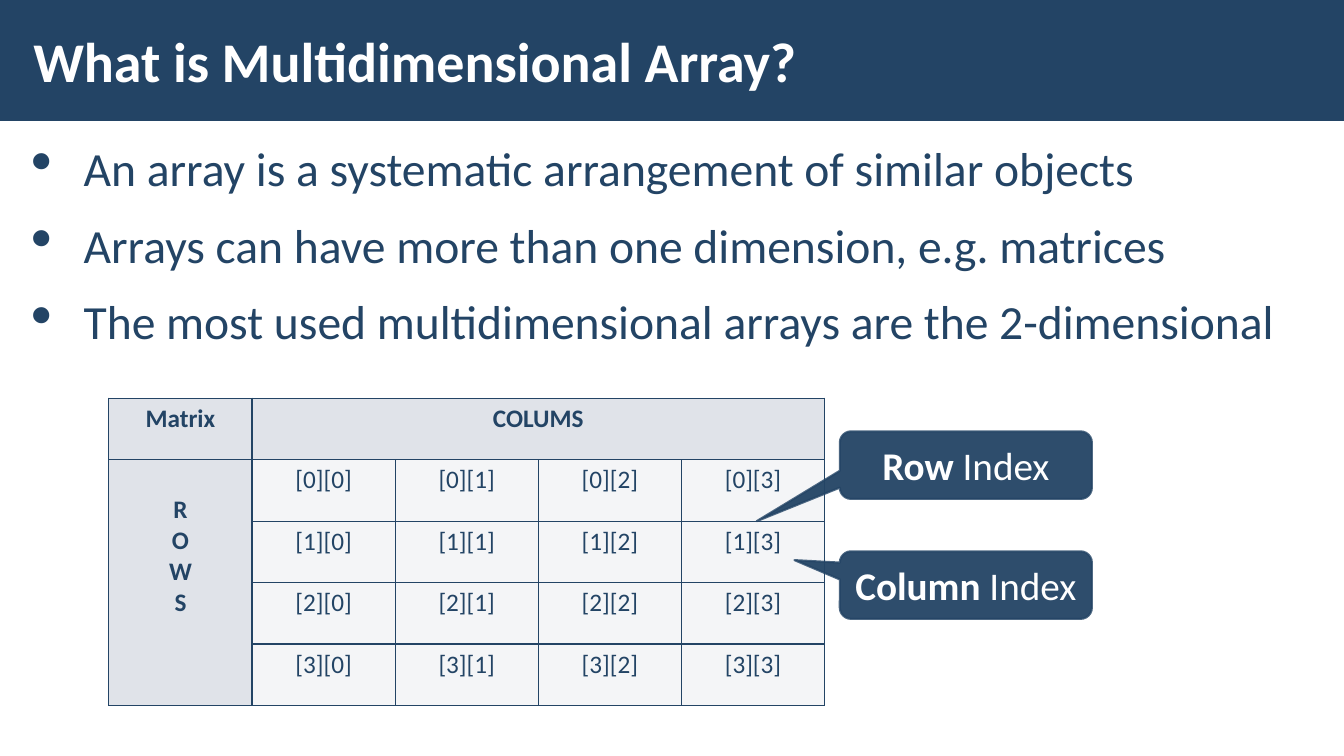
from dataclasses import dataclass

from lxml import etree
from pptx import Presentation
from pptx.dml.color import RGBColor
from pptx.enum.shapes import MSO_SHAPE
from pptx.enum.text import MSO_ANCHOR, MSO_AUTO_SIZE, PP_ALIGN
from pptx.oxml.ns import qn
from pptx.util import Inches, Pt

RECTANGLE = MSO_SHAPE.RECTANGLE
CALLOUT = MSO_SHAPE.ROUNDED_RECTANGULAR_CALLOUT
MIDDLE, TOP = MSO_ANCHOR.MIDDLE, MSO_ANCHOR.TOP
LEFT, CENTER = PP_ALIGN.LEFT, PP_ALIGN.CENTER
NO_AUTOFIT = MSO_AUTO_SIZE.NONE

FONT = "Calibri"
NAVY, WHITE = "234465", "FFFFFF"
HEADER_FILL, CELL_FILL = "E0E3E9", "F4F5F7"

MATRIX_SIZE = 4
CELL_WIDTH, CELL_HEIGHT = 1.42, 0.61
ROWS_TOP_MARGIN = 0.35

POINTS = [
    "An array is a systematic arrangement of similar objects",
    "Arrays can have more than one dimension, e.g. matrices",
    "The most used multidimensional arrays are the 2-dimensional",
]


@dataclass
class IndexCallout:
    subject: str
    top: float
    tip_x: float
    tip_y: float


CALLOUTS = [
    IndexCallout("Row ", 4.28, -0.83, 0.83),
    IndexCallout("Column ", 5.47, -0.68, -0.37),
]


def rgb(hex_color: str) -> RGBColor:
    return RGBColor.from_string(hex_color)


def add_run(paragraph, text: str, size: float, color: str, bold: bool = False) -> None:
    run = paragraph.add_run()
    run.text = text
    run.font.name = FONT
    run.font.size = Pt(size)
    run.font.bold = bold
    run.font.color.rgb = rgb(color)


def set_alpha(color_format, percent: int) -> None:
    """Set the opacity of a solid fill whose colour is already chosen."""
    for color in color_format.iter(qn("a:srgbClr")):
        etree.SubElement(color, qn("a:alpha"), val=str(percent * 1000))


def set_frame(frame, anchor) -> None:
    frame.word_wrap = True
    frame.auto_size = NO_AUTOFIT
    frame.vertical_anchor = anchor
    frame.margin_left = frame.margin_right = Inches(0.12)
    frame.margin_top = frame.margin_bottom = Inches(0.04)


def add_bullet(paragraph, symbol: str) -> None:
    properties = paragraph._p.get_or_add_pPr()
    properties.set("marL", str(Inches(0.5)))
    properties.set("indent", str(-Inches(0.5)))
    etree.SubElement(properties, qn("a:buFont"), typeface="Wingdings 2")
    etree.SubElement(properties, qn("a:buChar"), char=symbol)


def add_title(slide) -> None:
    band = slide.shapes.add_shape(RECTANGLE, 0, 0, Inches(13.33), Inches(1.2))
    band.shadow.inherit = False
    band.fill.solid()
    band.fill.fore_color.rgb = rgb(NAVY)
    band.line.fill.background()
    slide.shapes._spTree.insert(2, band._element)

    title = slide.shapes.title
    title.left, title.top = Inches(0.21), Inches(0.11)
    title.width, title.height = Inches(10.4), Inches(0.97)
    set_frame(title.text_frame, MIDDLE)
    heading = title.text_frame.paragraphs[0]
    heading.alignment = LEFT
    add_run(heading, "What is Multidimensional Array?", 40, WHITE, True)


def add_points(slide) -> None:
    body = slide.shapes.add_textbox(Inches(0.21), Inches(1.31), Inches(12.92), Inches(2.5))
    frame = body.text_frame
    set_frame(frame, TOP)
    for number, text in enumerate(POINTS):
        point = frame.add_paragraph() if number else frame.paragraphs[0]
        point.line_spacing = 1.05
        point.space_before = point.space_after = Pt(6)
        add_bullet(point, "▪")
        add_run(point, text, 34, NAVY)


def format_cell(cell, fill: str) -> None:
    cell.fill.solid()
    cell.fill.fore_color.rgb = rgb(fill)
    properties = cell._tc.get_or_add_tcPr()
    for position, side in enumerate(("lnL", "lnR", "lnT", "lnB")):
        border = etree.Element(qn(f"a:{side}"), w=str(Pt(1)))
        solid = etree.SubElement(border, qn("a:solidFill"))
        etree.SubElement(solid, qn("a:srgbClr"), val=NAVY)
        properties.insert(position, border)


def fill_cell(cell, lines: list[str], bold: bool) -> None:
    for number, line in enumerate(lines):
        paragraph = cell.text_frame.add_paragraph() if number else cell.text_frame.paragraphs[0]
        paragraph.alignment = CENTER
        add_run(paragraph, line, 18, NAVY, bold)


def add_matrix(slide) -> None:
    count = MATRIX_SIZE + 1
    table = slide.shapes.add_table(
        count, count, Inches(1.08), Inches(3.95),
        Inches(CELL_WIDTH * count), Inches(CELL_HEIGHT * count),
    ).table
    for column in table.columns:
        column.width = Inches(CELL_WIDTH)
    for row in table.rows:
        row.height = Inches(CELL_HEIGHT)

    # Headings along the top and the left side
    table.cell(0, 1).merge(table.cell(0, MATRIX_SIZE))
    table.cell(1, 0).merge(table.cell(MATRIX_SIZE, 0))
    fill_cell(table.cell(0, 0), ["Matrix"], True)
    fill_cell(table.cell(0, 1), ["COLUMS"], True)
    fill_cell(table.cell(1, 0), list("ROWS"), True)
    table.cell(1, 0).margin_top = Inches(ROWS_TOP_MARGIN)

    # Index pairs
    for row in range(count):
        for column in range(count):
            is_index = row > 0 and column > 0
            cell = table.cell(row, column)
            format_cell(cell, CELL_FILL if is_index else HEADER_FILL)
            if is_index:
                fill_cell(cell, [f"[{row - 1}][{column - 1}]"], False)


def add_callout(slide, callout: IndexCallout) -> None:
    bubble = slide.shapes.add_shape(
        CALLOUT, Inches(8.33), Inches(callout.top), Inches(2.5), Inches(0.67)
    )
    bubble.shadow.inherit = False
    bubble.adjustments[0] = callout.tip_x
    bubble.adjustments[1] = callout.tip_y
    bubble.fill.solid()
    bubble.fill.fore_color.rgb = rgb(NAVY)
    set_alpha(bubble._element.spPr.find(qn("a:solidFill")), 95)
    bubble.line.color.rgb = rgb(NAVY)
    bubble.line.width = Pt(1.5)
    set_alpha(bubble._element.spPr.find(qn("a:ln")), 80)
    bubble.text_frame.word_wrap = True
    bubble.text_frame.vertical_anchor = MIDDLE
    label = bubble.text_frame.paragraphs[0]
    label.alignment = CENTER
    add_run(label, callout.subject, 28, WHITE, True)
    add_run(label, "Index", 28, WHITE)


def main() -> None:
    presentation = Presentation()
    presentation.slide_width = Inches(13.33)
    presentation.slide_height = Inches(7.5)
    slide = presentation.slides.add_slide(presentation.slide_layouts[5])
    add_title(slide)
    add_points(slide)
    add_matrix(slide)
    for callout in CALLOUTS:
        add_callout(slide, callout)
    presentation.save("out.pptx")


if __name__ == "__main__":
    main()
